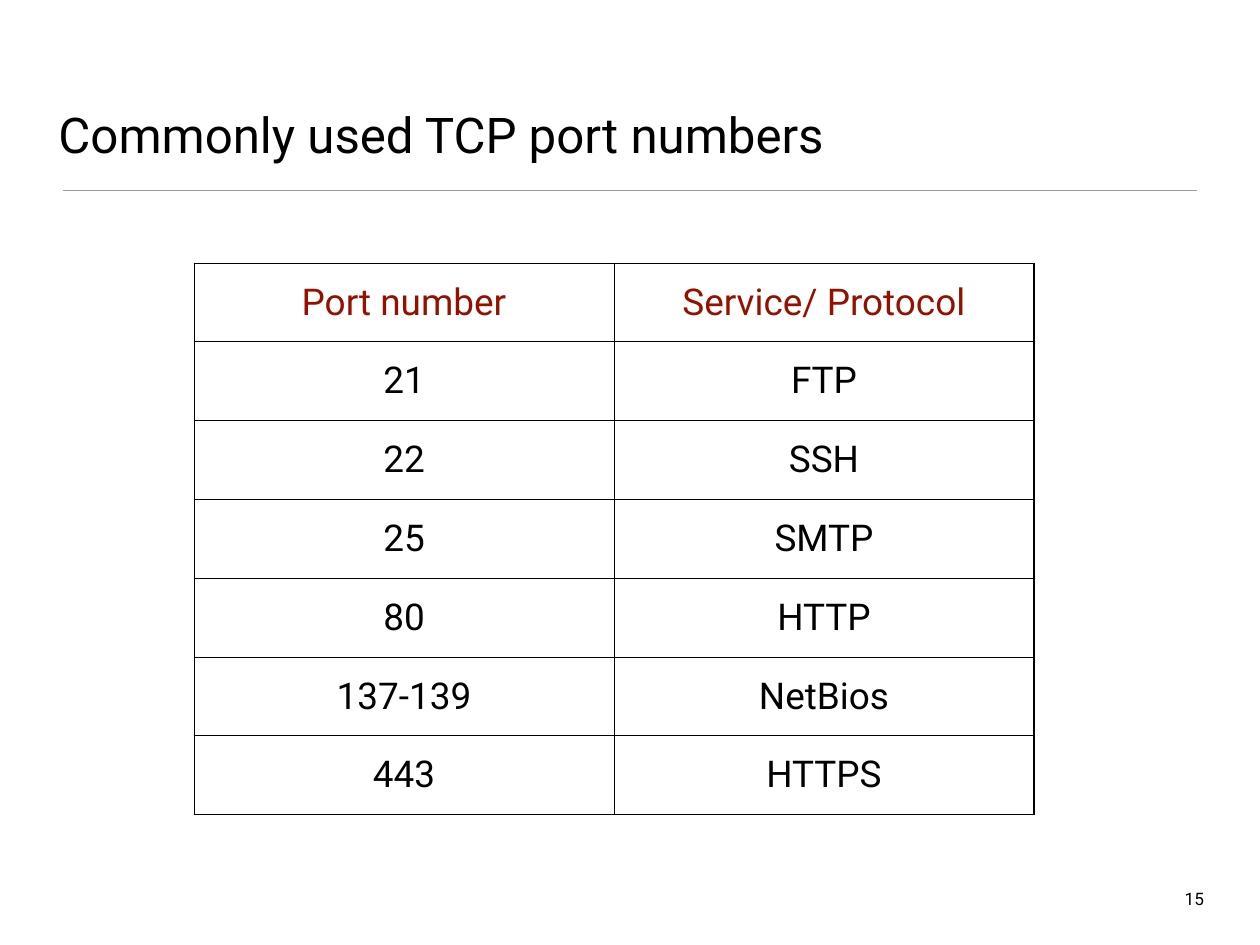
from lxml.etree import SubElement
from pptx import Presentation
from pptx.dml.color import RGBColor
from pptx.enum.shapes import MSO_CONNECTOR
from pptx.enum.text import MSO_ANCHOR, PP_ALIGN
from pptx.oxml.ns import qn
from pptx.util import Inches, Pt

# Content
TITLE = "Commonly used TCP port numbers"
PAGE_NUMBER = "15"
PORTS = [
    ("Port number", "Service/ Protocol"),
    ("21", "FTP"),
    ("22", "SSH"),
    ("25", "SMTP"),
    ("80", "HTTP"),
    ("137-139", "NetBios"),
    ("443", "HTTPS"),
]

# Style and layout
FONT = "Roboto"
BLACK, RED, GREY = "000000", "941100", "9A9A9A"
TABLE_LEFT, TABLE_TOP = 2.19, 2.97
COLUMN_WIDTH, ROW_HEIGHT = 4.74, 0.89


def color(hex_value):
    return RGBColor.from_string(hex_value)


def write(frame, text, size, hex_value, align):
    frame.text = text
    para = frame.paragraphs[0]
    para.alignment = align
    font = para.runs[0].font
    font.name, font.size, font.bold = FONT, Pt(size), False
    font.color.rgb = color(hex_value)


def add_text(page, place, text, size, align, anchor, wrap):
    box = page.shapes.add_textbox(*map(Inches, place))
    frame = box.text_frame
    frame.word_wrap = wrap
    frame.vertical_anchor = anchor
    frame.margin_left = frame.margin_right = Inches(0.04)
    frame.margin_top = frame.margin_bottom = Inches(0.04)
    write(frame, text, size, BLACK, align)


def add_borders(cell, hex_value, width):
    properties = cell._tc.get_or_add_tcPr()
    for position, side in enumerate(("lnL", "lnR", "lnT", "lnB")):
        border = SubElement(properties, qn(f"a:{side}"), w=str(Pt(width)))
        fill = SubElement(border, qn("a:solidFill"))
        SubElement(fill, qn("a:srgbClr"), val=hex_value)
        properties.insert(position, border)  # borders come before the fill


def add_port_table(page):
    rows, columns = len(PORTS), len(PORTS[0])
    table = page.shapes.add_table(
        rows, columns, Inches(TABLE_LEFT), Inches(TABLE_TOP),
        Inches(columns * COLUMN_WIDTH), Inches(rows * ROW_HEIGHT)).table
    table.first_row = table.horz_banding = False
    for column in table.columns:
        column.width = Inches(COLUMN_WIDTH)
    for row_index, values in enumerate(PORTS):
        table.rows[row_index].height = Inches(ROW_HEIGHT)
        for column_index, value in enumerate(values):
            cell = table.cell(row_index, column_index)
            cell.fill.background()
            cell.vertical_anchor = MSO_ANCHOR.MIDDLE
            write(cell.text_frame, value, 30, BLACK if row_index else RED, PP_ALIGN.CENTER)
            add_borders(cell, BLACK, 1)


def main():
    deck = Presentation()
    deck.slide_width, deck.slide_height = Inches(14.22), Inches(10.67)
    page = deck.slides.add_slide(deck.slide_layouts[6])
    page.background.fill.solid()
    page.background.fill.fore_color.rgb = color("FFFFFF")

    # Rule under the title
    rule = page.shapes.add_connector(
        MSO_CONNECTOR.STRAIGHT, Inches(0.71), Inches(2.15), Inches(13.51), Inches(2.15))
    rule.line.color.rgb = color(GREY)
    rule.line.width = Pt(1)
    SubElement(rule._element.spPr, qn("a:effectLst"))

    # Title, page number and table
    add_text(page, (0.62, 0.36, 12.97, 1.53), TITLE, 40,
             PP_ALIGN.LEFT, MSO_ANCHOR.BOTTOM, True)
    add_text(page, (13.33, 9.99, 0.3, 0.32), PAGE_NUMBER, 14,
             PP_ALIGN.RIGHT, MSO_ANCHOR.TOP, False)
    add_port_table(page)

    deck.save("out.pptx")


if __name__ == "__main__":
    main()
